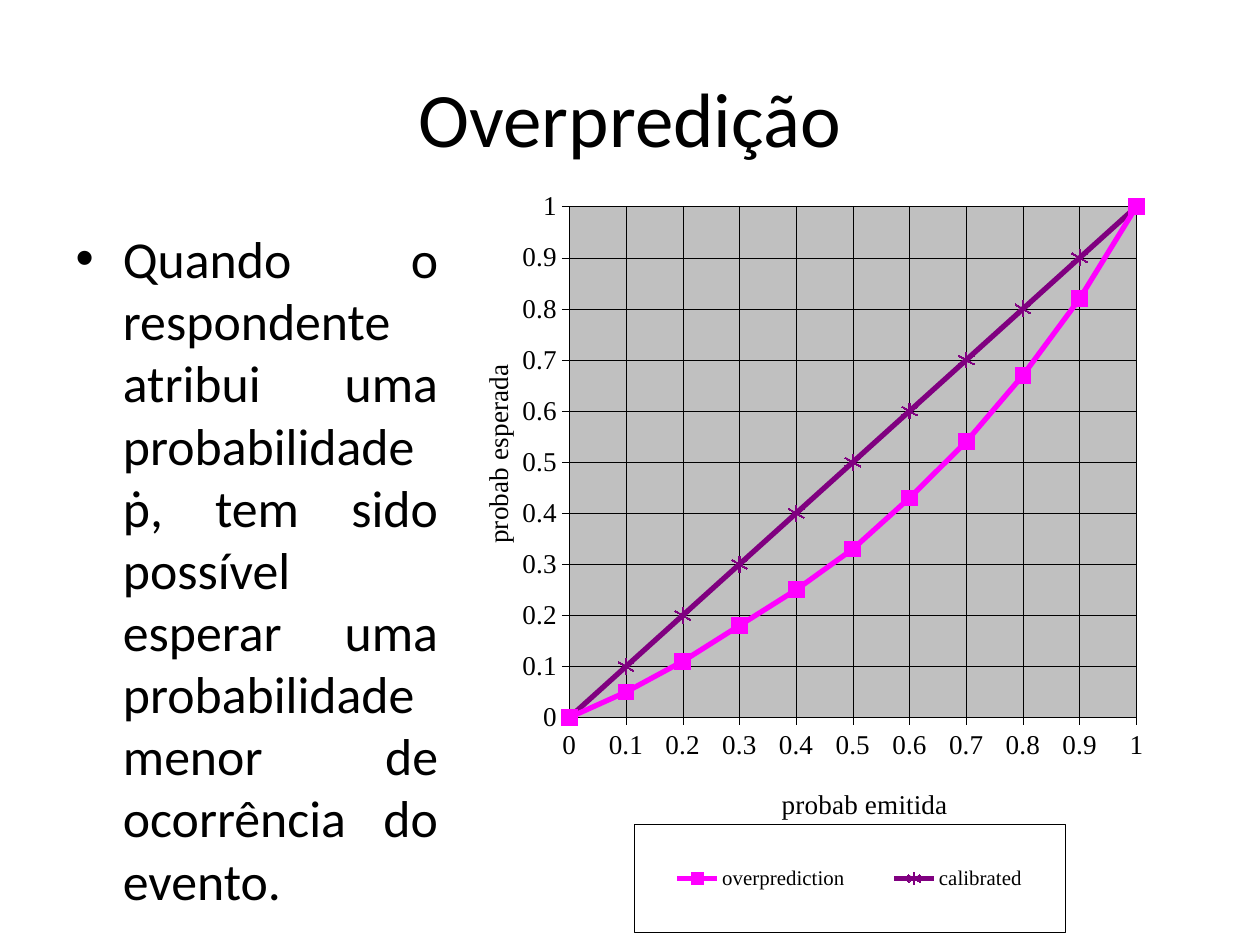
"""Build the slide on overprediction with its calibration chart."""
from lxml import etree
from pptx import Presentation
from pptx import util as u
from pptx.chart.data import XyChartData
from pptx.dml.color import RGBColor
from pptx.enum import chart as ch, text
from pptx.oxml import ns

COLORS = {"ink": "000000", "plot": "C0C0C0", "over": "FF00FF", "cal": "800080"}
SERIF = "Times New Roman"


def set_font(font, name, size):
    font.name, font.size, font.bold = name, u.Pt(size), False
    font.color.rgb = RGBColor.from_string(COLORS["ink"])


def set_layout(parent, index, **values):
    for old in parent.findall(ns.qn("c:layout")):
        parent.remove(old)
    layout = etree.Element(ns.qn("c:layout"))
    manual = etree.SubElement(layout, ns.qn("c:manualLayout"))
    for tag, val in values.items():
        etree.SubElement(manual, ns.qn("c:" + tag)).set("val", str(val))
    parent.insert(index, layout)


prs = Presentation()
prs.slide_width, prs.slide_height = u.Pt(720), u.Pt(540)
s = prs.slides.add_slide(prs.slide_layouts[1])

title, body = s.placeholders
boxes = [
    (title, (36, 21.6, 648, 90), 44, text.PP_ALIGN.CENTER, "Overpredição"),
    (body, (36, 126, 221.76, 390.24), 29.6, text.PP_ALIGN.JUSTIFY,
     "Quando o respondente atribui uma probabilidade ṗ, tem sido possível "
     "esperar uma probabilidade menor de ocorrência do evento."),
]
for sp, box, size, align, words in boxes:
    sp.left, sp.top, sp.width, sp.height = map(u.Pt, box)
    tf = sp.text_frame
    tf.text = words
    tf.word_wrap = True
    tf.auto_size = text.MSO_AUTO_SIZE.NONE
    p = tf.paragraphs[0]
    p.alignment = align
    set_font(p.font, "Calibri", size)

steps = [i / 10 for i in range(11)]
curve = [0, 0.05, 0.11, 0.18, 0.25, 0.33, 0.43, 0.54, 0.67, 0.82, 1]
data = XyChartData()
for name, values in (("overprediction", curve), ("calibrated", steps)):
    series = data.add_series(name)
    for x, y in zip(steps, values):
        series.add_data_point(x, y)

chart = s.shapes.add_chart(
    ch.XL_CHART_TYPE.XY_SCATTER_LINES, u.Pt(264.24), u.Pt(93.6),
    u.Pt(718.56), u.Pt(446.4), data).chart
set_font(chart.font, SERIF, 13)
chart.has_title = False

markers = [("over", ch.XL_MARKER_STYLE.SQUARE), ("cal", ch.XL_MARKER_STYLE.STAR)]
for series, (key, style) in zip(chart.plots[0].series, markers):
    color = RGBColor.from_string(COLORS[key])
    series.smooth = False
    series.format.line.color.rgb = color
    series.format.line.width = u.Pt(3)
    marker = series.marker
    marker.style, marker.size = style, 9
    marker.format.line.color.rgb = color
    if style == ch.XL_MARKER_STYLE.STAR:
        marker.format.fill.background()
    else:
        marker.format.fill.solid()
        marker.format.fill.fore_color.rgb = color

axes = [(chart.category_axis, "probab emitida", 0.25, 0.79),
        (chart.value_axis, "probab esperada", 0.01, 0.25)]
for axis, words, x, y in axes:
    axis.minimum_scale, axis.maximum_scale, axis.major_unit = 0, 1, 0.1
    axis.major_tick_mark = ch.XL_TICK_MARK.CROSS
    axis.minor_tick_mark = ch.XL_TICK_MARK.NONE
    axis.has_major_gridlines = True
    for line in (axis.format.line, axis.major_gridlines.format.line):
        line.color.rgb = RGBColor.from_string(COLORS["ink"])
        line.width = u.Pt(0.25)
    labels = axis.tick_labels
    labels.number_format, labels.number_format_is_linked = "General", False
    set_font(labels.font, SERIF, 15.5)
    tf = axis.axis_title.text_frame
    tf.text = words
    set_font(tf.paragraphs[0].font, SERIF, 15.5)
    set_layout(axis.axis_title._element, 1, xMode="edge", yMode="edge", x=x, y=y)

chart.has_legend = True
legend = chart.legend
legend.position = ch.XL_LEGEND_POSITION.RIGHT
legend.include_in_layout = False
set_font(legend.font, SERIF, 11.9)
set_layout(legend._element, 1, xMode="edge", yMode="edge",
           x=0.137, y=0.846, w=0.342, h=0.138)

plot_area = chart._chartSpace.chart.plotArea
set_layout(plot_area, 0, layoutTarget="inner", xMode="edge", yMode="edge",
           x=0.085, y=0.055, w=0.451, h=0.654)


plot_pr = etree.SubElement(plot_area, ns.qn("c:spPr"))
legend_pr = etree.Element(ns.qn("c:spPr"))
legend._element.find(ns.qn("c:txPr")).addprevious(legend_pr)
fill = etree.SubElement(plot_pr, ns.qn("a:solidFill"))
etree.SubElement(fill, ns.qn("a:srgbClr")).set("val", COLORS["plot"])
border = etree.SubElement(legend_pr, ns.qn("a:ln"))
border.set("w", str(u.Pt(0.25)))
fill = etree.SubElement(border, ns.qn("a:solidFill"))
etree.SubElement(fill, ns.qn("a:srgbClr")).set("val", COLORS["ink"])

prs.save("out.pptx")
